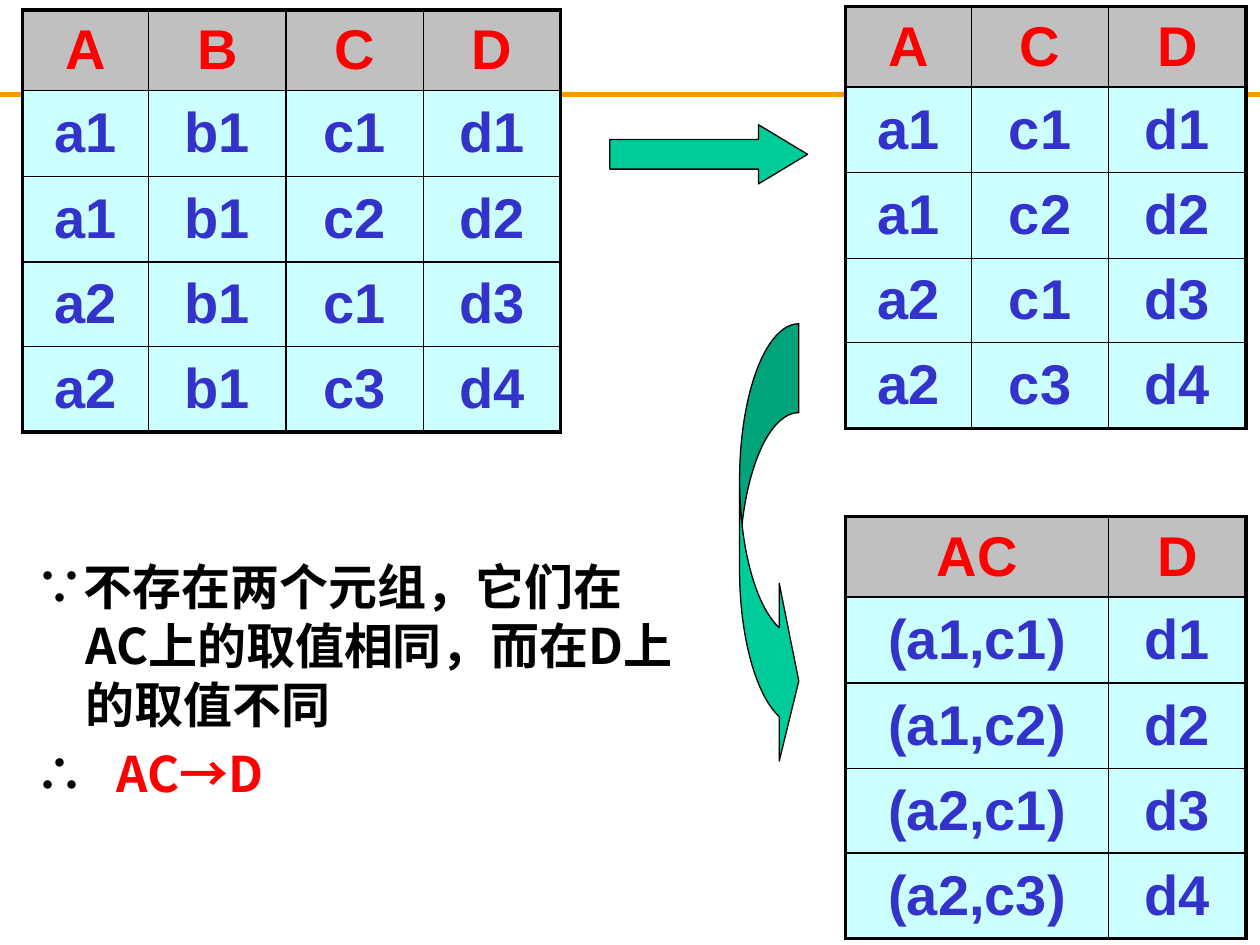
from lxml import etree
from pptx import Presentation
from pptx import util as u
from pptx.dml.color import RGBColor
from pptx.enum import shapes, text
from pptx.oxml import ns

Inches, Pt = u.Inches, u.Pt
COLORS = {name: RGBColor.from_string(value) for name, value in {
    "rule": "FF9900", "ink": "000000", "header": "C0C0C0", "cell": "CCFFFF",
    "heading": "FF0000", "value": "3333CC", "arrow": "00CC99",
}.items()}
ROW_HEIGHTS = [0.64, 0.68, 0.68, 0.67, 0.68]


def add_span(para, words, size, font, color):
    span = para.add_run()
    span.text = words
    span.font.size = Pt(size)
    span.font.name = font
    span.font.bold = True
    span.font.color.rgb = COLORS[color]
    east_asian = etree.SubElement(span.font._element, ns.qn("a:ea"))
    east_asian.set("typeface", font)


def add_relation(page, left, top, widths, rows):
    frame = page.shapes.add_table(len(rows), len(widths), Inches(left), Inches(top),
                                  Inches(sum(widths)), Inches(sum(ROW_HEIGHTS)))
    table = frame.table
    for column, width in zip(table.columns, widths):
        column.width = Inches(width)
    for row, height in zip(table.rows, ROW_HEIGHTS):
        row.height = Inches(height)
    for r, words in enumerate(rows):
        for c, word in enumerate(words.split()):
            cell = table.cell(r, c)
            cell.vertical_anchor = text.MSO_ANCHOR.MIDDLE
            cell.margin_left = cell.margin_right = Inches(0.1)
            cell.margin_top = cell.margin_bottom = 0
            # Thick outer frame, thin inner lines
            outer = {"L": c == 0, "R": c == len(widths) - 1,
                     "T": r == 0, "B": r == len(rows) - 1}
            properties = cell._tc.get_or_add_tcPr()
            for side, thick in outer.items():
                border = etree.SubElement(properties, ns.qn("a:ln" + side))
                border.set("w", str(Pt(2.25 if thick else 1)))
                fill = etree.SubElement(border, ns.qn("a:solidFill"))
                etree.SubElement(fill, ns.qn("a:srgbClr")).set("val", str(COLORS["ink"]))
            cell.fill.solid()
            cell.fill.fore_color.rgb = COLORS["cell" if r else "header"]
            para = cell.text_frame.paragraphs[0]
            para.alignment = text.PP_ALIGN.CENTER
            add_span(para, word, 32, "Arial", "value" if r else "heading")


deck = Presentation()
deck.slide_width, deck.slide_height = Inches(10), Inches(7.5)
page = deck.slides.add_slide(deck.slide_layouts[6])

# Rule across the page
rule = page.shapes.add_connector(shapes.MSO_CONNECTOR.STRAIGHT,
                                 0, Inches(0.75), Inches(10), Inches(0.75))
rule.line.color.rgb = COLORS["rule"]
rule.line.width = Pt(3)
etree.SubElement(rule._element.spPr, ns.qn("a:effectLst"))

# Relation and its projections
add_relation(page, 0.18, 0.08, [1, 1.09, 1.09, 1.09],
             ["A B C D", "a1 b1 c1 d1", "a1 b1 c2 d2", "a2 b1 c1 d3", "a2 b1 c3 d4"])
add_relation(page, 6.71, 0.05, [1, 1.09, 1.09],
             ["A C D", "a1 c1 d1", "a1 c2 d2", "a2 c1 d3", "a2 c3 d4"])
add_relation(page, 6.71, 4.1, [2.09, 1.09],
             ["AC D", "(a1,c1) d1", "(a1,c2) d2", "(a2,c1) d3", "(a2,c3) d4"])

# Arrows between the tables
arrows = [
    (shapes.MSO_SHAPE.RIGHT_ARROW, (4.84, 0.99, 1.57, 0.47), (0.5, 0.83)),
    (shapes.MSO_SHAPE.CURVED_RIGHT_ARROW, (5.87, 2.57, 0.47, 3.54), (1.5, 3, 0.33)),
]
for kind, place, adjustments in arrows:
    arrow = page.shapes.add_shape(kind, *map(Inches, place))
    for index, value in enumerate(adjustments):
        arrow.adjustments[index] = value
    arrow.shadow.inherit = False
    arrow.fill.solid()
    arrow.fill.fore_color.rgb = COLORS["arrow"]
    arrow.line.color.rgb = COLORS["ink"]
    arrow.line.width = Pt(0.75)

# Reasoning
box = page.shapes.add_textbox(Inches(0.18), Inches(4.37), Inches(5.28), Inches(2.06))
box.text_frame.word_wrap = True
reason = box.text_frame.paragraphs[0]
conclusion = box.text_frame.add_paragraph()
hanging = reason._p.get_or_add_pPr()
hanging.set("marL", str(Inches(0.4)))
hanging.set("indent", str(Inches(-0.4)))
tabs = etree.SubElement(conclusion._p.get_or_add_pPr(), ns.qn("a:tabLst"))
etree.SubElement(tabs, ns.qn("a:tab"), pos=str(Inches(0.65)), algn="l")
conclusion.space_before = Pt(5.6)
for para in (reason, conclusion):
    para.line_spacing = Pt(33.7)
for para, words, color in [
    (reason, "∵不存在两个元组，它们在AC上的取值相同，而在D上的取值不同", "ink"),
    (conclusion, "∴\t", "ink"),
    (conclusion, "AC→D", "heading"),
]:
    add_span(para, words, 28, "Noto Sans CJK SC", color)

deck.save("out.pptx")
